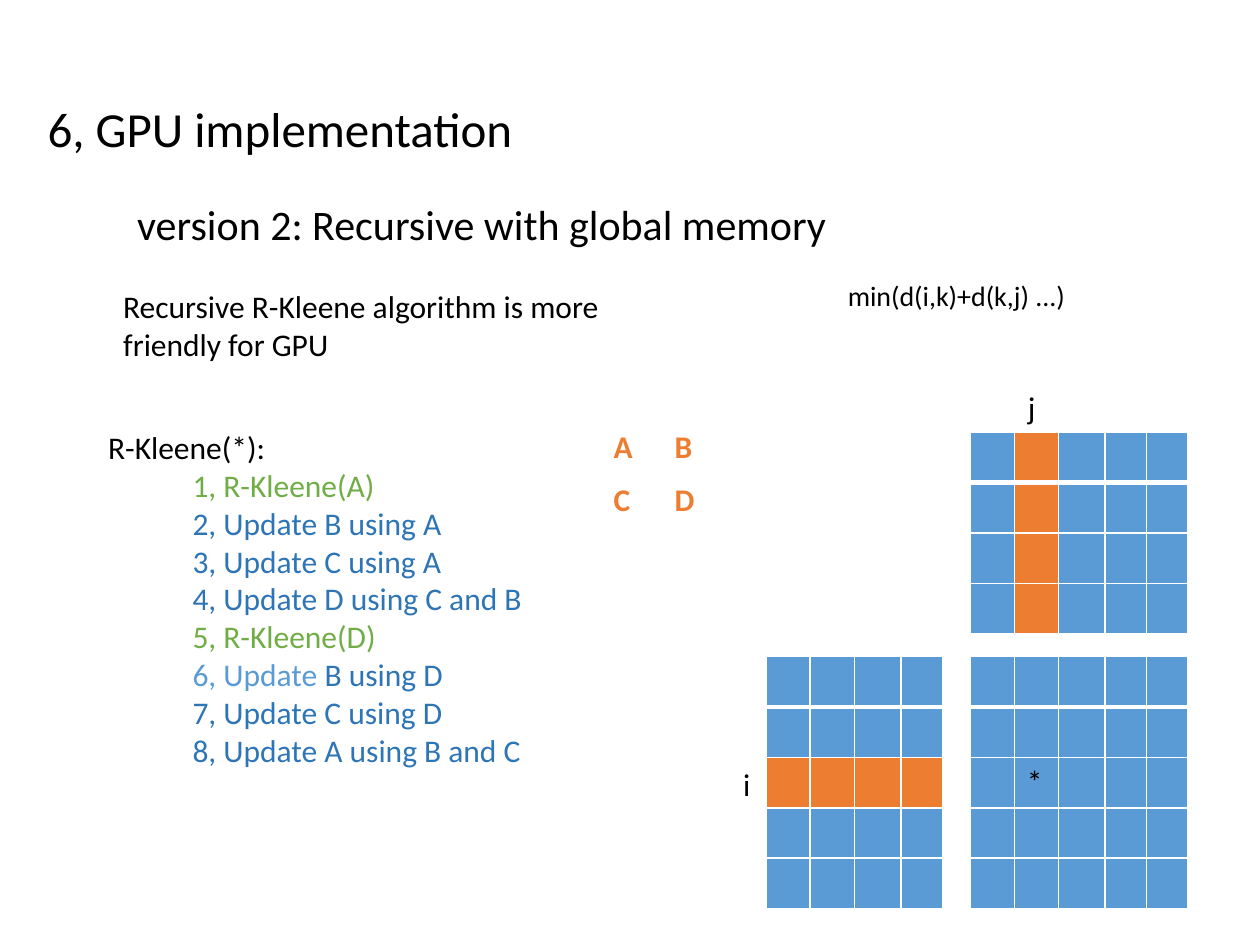
from lxml import etree
from pptx import Presentation
from pptx import util as u
from pptx.dml.color import RGBColor
from pptx.enum import text as t
from pptx.oxml.ns import qn

HUES = {"ink": "000000", "line": "FFFFFF", "cell": "5B9BD5", "mark": "ED7D31",
        "call": "70AD47", "step": "2E75B6"}
COLS, ROWS = 100, 75
WIDE, HIGH = u.Inches(10), u.Inches(7.5)
SPANS = [3.5, 3.5, 3.7, 3.3, 3.3]
STEPS = [
    [("1, R-Kleene(A)", "call")],
    [("2, Update B using A", "step")],
    [("3, Update C using A", "step")],
    [("4, Update D using C and B", "step")],
    [("5, R-Kleene(D)", "call")],
    [("6, Update ", "cell"), ("B using D", "step")],
    [("7, Update C using D", "step")],
    [("8, Update A using B and C", "step")],
]


def across(n):
    return u.Emu(int(WIDE * n / COLS))


def down(n):
    return u.Emu(int(HIGH * n / ROWS))


def place(box, x, y, w, h):
    return across(box[0] + x), down(box[1] + y), across(w), down(h)


def tint(hue):
    return RGBColor.from_string(HUES[hue])


def style(item, **form):
    for key, value in form.items():
        setattr(item, key, value)


def write(par, words, size=18, hue="ink", bold=False):
    run = par.add_run()
    run.text = words
    style(run.font, name="Calibri", size=u.Pt(size), bold=bold)
    run.font.color.rgb = tint(hue)


def label(slide, spot, words, size=18, wrap=True, **form):
    frame = slide.shapes.add_textbox(*spot).text_frame
    style(frame, word_wrap=wrap,
          vertical_anchor=form.pop("anchor", t.MSO_ANCHOR.TOP))
    style(frame.paragraphs[0], **form)
    write(frame.paragraphs[0], words, size)


def border(cell, top):
    props = cell._tc.get_or_add_tcPr()
    for side in "LRTB":
        thick = 3 if top and side == "B" else 1
        line = etree.SubElement(props, qn("a:ln" + side), w=str(u.Pt(thick)))
        fill = etree.SubElement(line, qn("a:solidFill"))
        etree.SubElement(fill, qn("a:srgbClr"), val=HUES["line"])


def grid(slide, box, x, y, spans, rows, pitch, fill, words):
    spot = place(box, x, y, sum(spans), rows * pitch)
    table = slide.shapes.add_table(rows, len(spans), *spot).table
    style(table, first_row=False, horz_banding=False)
    for col, span in zip(table.columns, spans):
        col.width = across(span)
    for r, row in enumerate(table.rows):
        row.height = down(pitch)
        for c, cell in enumerate(row.cells):
            border(cell, r == 0)
            hue = fill(r, c)
            if hue:
                cell.fill.solid()
                cell.fill.fore_color.rgb = tint(hue)
            else:
                cell.fill.background()
            if (r, c) in words:
                write(cell.text_frame.paragraphs[0], words[r, c],
                      hue="ink" if hue else "mark", bold=not hue)


def heading(slide, box):
    form = {"anchor": t.MSO_ANCHOR.BOTTOM, "line_spacing": 0.9}
    label(slide, place(box, 0, 0, 61.3, 6.9), "6, GPU implementation", 28, **form)
    label(slide, place(box, 7.1, 9.2, 85.2, 5),
          "version 2: Recursive with global memory", 24, **form)
    label(slide, place(box, 6, 16.2, 40.6, 7.1),
          "Recursive R-Kleene algorithm is more friendly for GPU")


def steps(slide, box):
    frame = slide.shapes.add_textbox(*place(box, 0, 0, 43, 28.3)).text_frame
    frame.word_wrap = True
    lines = [[("R-Kleene(*):", "ink")]] + STEPS
    for n, line in enumerate(lines):
        par = frame.add_paragraph() if n else frame.paragraphs[0]
        par._p.get_or_add_pPr().set("marL", str(across(10 if n else 3.3)))
        for words, hue in line:
            write(par, words, hue=hue)
    names = {(0, 0): "A", (0, 1): "B", (1, 0): "C", (1, 1): "D"}
    grid(slide, box, 43.4, 0, [4.85, 4.85], 2, 4.2, lambda r, c: None, names)


def product(slide, box):
    label(slide, place(box, 8.3, 0, 24.1, 3.7), "min(d(i,k)+d(k,j) ...)", 16, False)
    label(slide, place(box, 22.6, 8.7, 2.7, 4), "j", wrap=False)
    label(slide, place(box, 0, 38.6, 2.7, 4), "i", wrap=False)
    grid(slide, box, 19, 12.7, SPANS, 4, 4,
         lambda r, c: "mark" if c == 1 else "cell", {})
    grid(slide, box, 2.8, 30.5, SPANS[:4], 5, 4,
         lambda r, c: "mark" if r == 2 else "cell", {})
    grid(slide, box, 19, 30.5, SPANS, 5, 4, lambda r, c: "cell", {(2, 1): "*"})


def main():
    deck = Presentation()
    style(deck, slide_width=WIDE, slide_height=HIGH)
    slide = deck.slides.add_slide(deck.slide_layouts[6])
    heading(slide, (2.8, 6.1))
    steps(slide, (4.3, 33.5))
    product(slide, (58, 21.6))
    deck.save("out.pptx")


if __name__ == "__main__":
    main()
